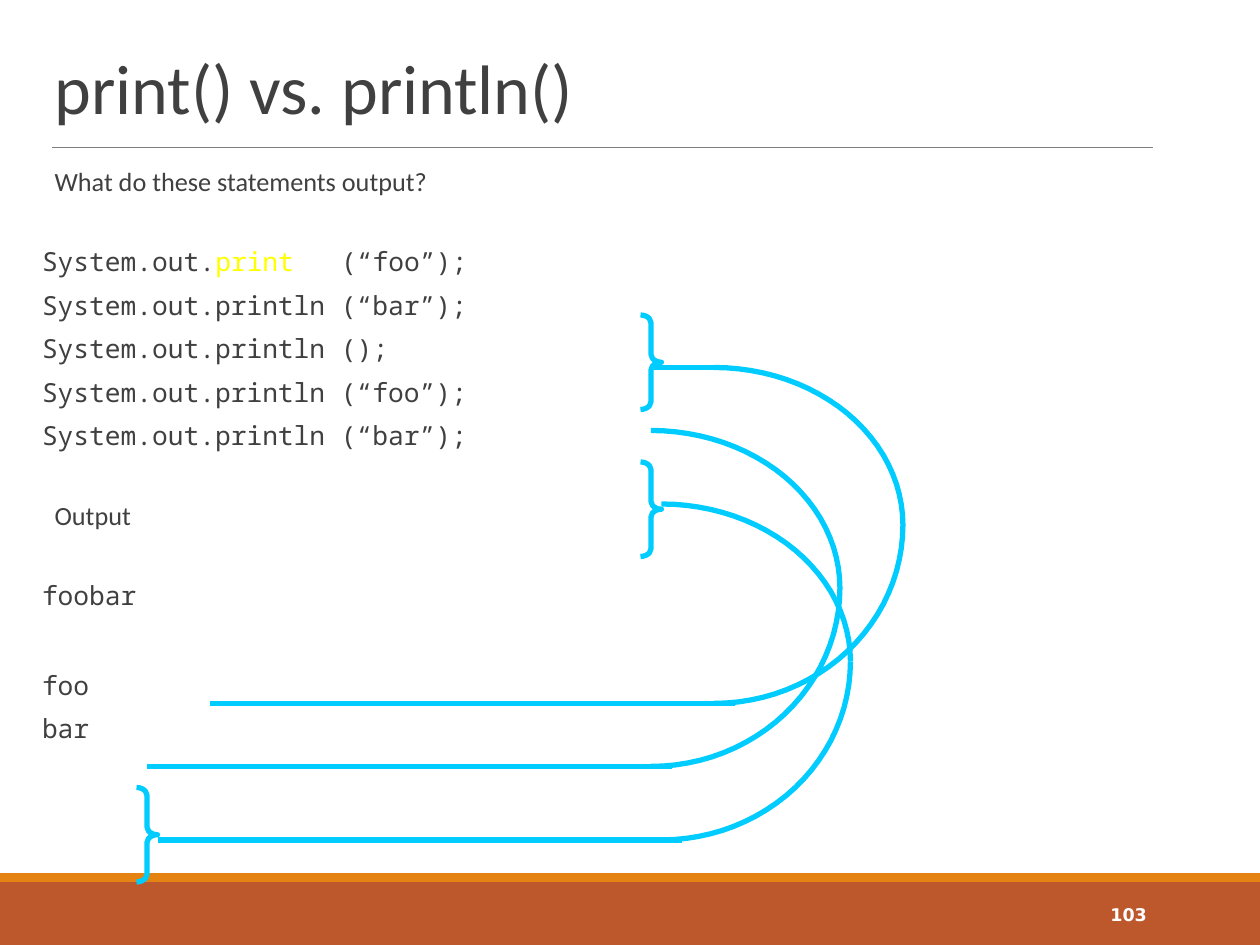
from dataclasses import dataclass
from math import cos, pi, sin

from lxml import etree
from pptx import Presentation
from pptx.dml import color as c
from pptx.enum import shapes, text
from pptx.oxml import ns
from pptx.util import Pt


@dataclass(frozen=True)
class Theme:
    ink: str = "404040"
    accent: str = "FFFF00"
    curve: str = "00CCFF"
    rule: str = "7F7F7F"
    band: str = "BD582C"
    strip: str = "E48312"
    white: str = "FFFFFF"
    sans: str = "Calibri"
    mono: str = "Noto Sans Mono"
    number: str = "DejaVu Sans"
    title_size: int = 40
    body_size: int = 15
    number_size: int = 10


T = Theme()
QUARTER_STEPS = 24
LISTING = [
    (T.sans, 0, [("What do these statements output?", T.ink)]),
    (T.mono, 31, [("System.out.", T.ink), ("print", T.accent), ("   (“foo”);", T.ink)]),
    (T.mono, 10.2, [("System.out.println (“bar”);", T.ink)]),
    (T.mono, 10.2, [("System.out.println ();", T.ink)]),
    (T.mono, 10.2, [("System.out.println (“foo”);", T.ink)]),
    (T.mono, 10.2, [("System.out.println (“bar”);", T.ink)]),
    (T.sans, 31, [("Output", T.ink)]),
    (T.mono, 31, [("foobar", T.ink)]),
    (T.mono, 36.8, [("foo", T.ink)]),
    (T.mono, 10.2, [("bar", T.ink)]),
]


def add_text(p, content, *, font, size, color, bold=False):
    r = p.add_run()
    r.text = content
    r.font.name, r.font.size, r.font.bold = font, Pt(size), bold
    r.font.color.rgb = c.RGBColor.from_string(color)


def place(sp, box):
    sp.left, sp.top, sp.width, sp.height = map(Pt, box)


def stroke(sp, color=T.curve, width=3):
    sp.line.color.rgb = c.RGBColor.from_string(color)
    sp.line.width = Pt(width)


def add_line(parent, x1, y1, x2, y2, **style):
    sp = parent.add_connector(shapes.MSO_CONNECTOR.STRAIGHT, Pt(x1), Pt(y1), Pt(x2), Pt(y2))
    stroke(sp, **style)
    etree.SubElement(sp._element.spPr, ns.qn("a:effectLst"))


def add_bar(s, box, color):
    sp = s.shapes.add_shape(shapes.MSO_SHAPE.RECTANGLE, *map(Pt, box))
    sp.shadow.inherit = False
    sp.fill.solid()
    sp.fill.fore_color.rgb = c.RGBColor.from_string(color)
    sp.line.fill.background()


def add_title(s, box, content):
    sp = s.shapes.title
    place(sp, box)
    tf = sp.text_frame
    tf.auto_size = text.MSO_AUTO_SIZE.NONE
    tf.vertical_anchor = text.MSO_ANCHOR.BOTTOM
    p = tf.paragraphs[0]
    p.alignment, p.line_spacing = text.PP_ALIGN.LEFT, 0.85
    add_text(p, content, font=T.sans, size=T.title_size, color=T.ink)
    left, top, width, height = box
    add_line(s.shapes, left + 6, top + height + 6.5, left + width, top + height + 6.5,
             color=T.rule, width=0.5)


def add_listing(s, box, lines):
    sp = s.placeholders[1]
    place(sp, box)
    tf = sp.text_frame
    tf.auto_size = text.MSO_AUTO_SIZE.NONE
    tf.margin_left = tf.margin_right = 0
    for i, (font, before, runs) in enumerate(lines):
        p = tf.add_paragraph() if i else tf.paragraphs[0]
        pPr = p._p.get_or_add_pPr()
        pPr.set("marL", str(Pt(7.2 if font == T.sans else 0)))
        pPr.set("indent", "0")
        etree.SubElement(pPr, ns.qn("a:buNone"))
        p.line_spacing, p.space_before, p.space_after = 0.7, Pt(before), Pt(2)
        for content, color in runs:
            add_text(p, content, font=font, size=T.body_size, color=color)


def add_footer(s, box, number):
    left, top, width, height = box
    add_bar(s, (left, top + 5, width, height - 5), T.band)
    add_bar(s, (left, top, width, 5), T.strip)
    sp = s.shapes.add_textbox(*map(Pt, (left + 584.6, top + 9.3, 77.8, 28.8)))
    tf = sp.text_frame
    tf.word_wrap = True
    tf.vertical_anchor = text.MSO_ANCHOR.MIDDLE
    p = tf.paragraphs[0]
    p.alignment = text.PP_ALIGN.RIGHT
    add_text(p, number, font=T.number, size=T.number_size, color=T.white, bold=True)


def add_brace(group, x, y):
    sp = group.shapes.add_shape(shapes.MSO_SHAPE.RIGHT_BRACE, Pt(x), Pt(y), Pt(12), Pt(54))
    sp.adjustments[0] = 0.375
    sp.shadow.inherit = False
    sp.fill.background()
    stroke(sp)


def add_quarter(group, cx, cy, rx, ry, start):
    angles = [start + pi / 2 * i / QUARTER_STEPS for i in range(QUARTER_STEPS + 1)]
    points = [(Pt(cx + rx * cos(a)), Pt(cy + ry * sin(a))) for a in angles]
    outline = group.shapes.build_freeform(*points[0])
    outline.add_line_segments(points[1:], close=False)
    sp = outline.convert_to_shape()
    sp.shadow.inherit = False
    sp.fill.background()
    stroke(sp)


def add_link(s, x, y, braces=(), lead=None):
    group = s.shapes.add_group_shape()
    for brace in braces:
        add_brace(group, *brace)
    add_quarter(group, x, y + 90, 108, 90, -pi / 2)
    add_quarter(group, x, y + 90, 108, 102, 0)
    add_line(group.shapes, x - 288, y + 192, x + 12, y + 192)
    if lead:
        add_line(group.shapes, lead, y, x + 6, y)


def main():
    prs = Presentation()
    prs.slide_width, prs.slide_height = Pt(720), Pt(540)
    s = prs.slides.add_slide(prs.slide_layouts[1])
    add_footer(s, (0, 499, 720, 41), "103")
    add_title(s, (24, 22, 635, 55.5), "print() vs. println()")
    add_listing(s, (24, 96, 635, 366.5), LISTING)
    add_link(s, 378, 288, braces=[(366, 264), (78, 450)])
    add_link(s, 372, 246)
    add_link(s, 408, 210, braces=[(366, 180)], lead=372)
    prs.save("out.pptx")


if __name__ == "__main__":
    main()
